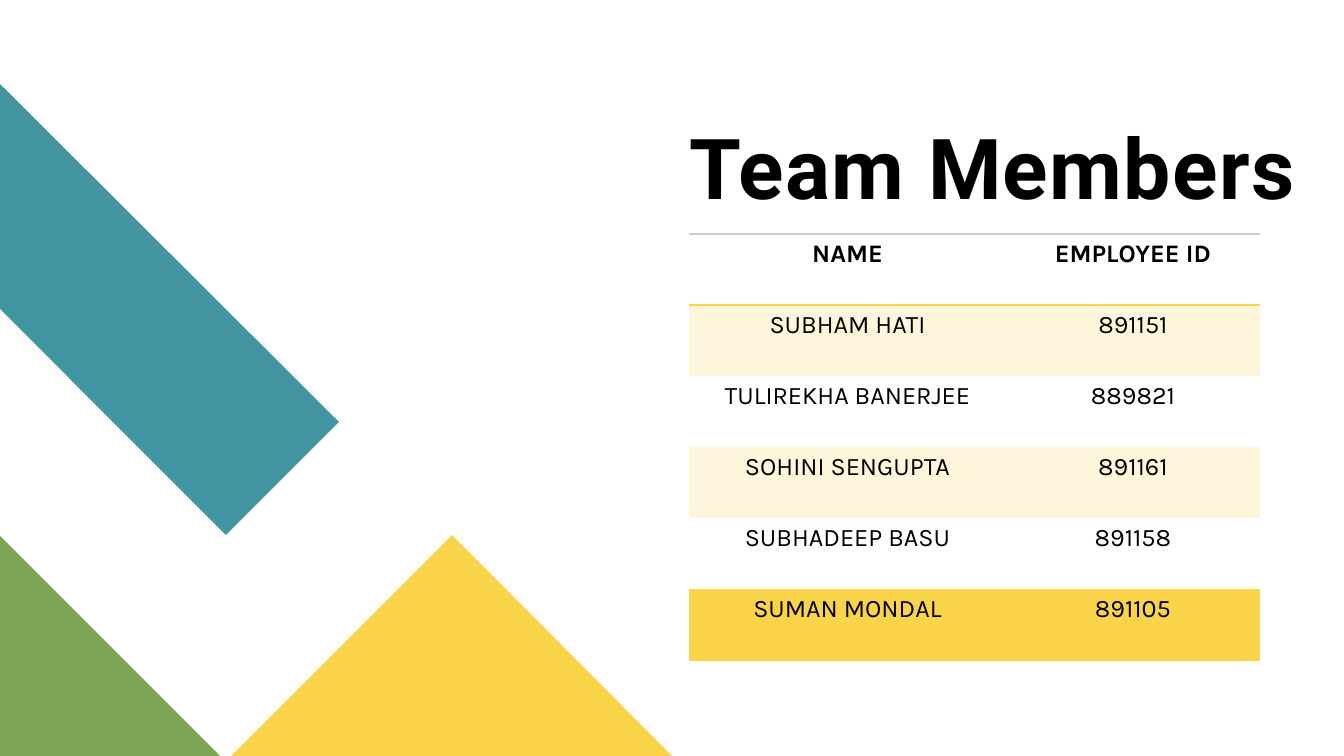
from dataclasses import dataclass

from lxml.etree import SubElement
from pptx import Presentation
from pptx.dml.color import RGBColor as RGB
from pptx.enum.text import MSO_ANCHOR as Anchor, MSO_AUTO_SIZE as AutoSize, PP_ALIGN as Align
from pptx.oxml.ns import qn
from pptx.util import Pt

EMU_PER_PX = 914400 / 100.8
NO_STYLE_NO_GRID = "{2D5ABB26-0587-4C30-8999-92F81FD0307C}"


@dataclass(frozen=True)
class Theme:
    teal: str = "4495A2"
    green: str = "7CA655"
    yellow: str = "F9D448"
    grey: str = "CCCCCC"
    text: str = "000000"
    title_font: str = "Roboto"
    body_font: str = "Karla"
    title_size: int = 60
    body_size: int = 18
    band_opacity: int = 20


THEME = Theme()

BANDS = [
    (THEME.teal, [(0, 84), (0, 309), (226, 535), (339, 422)]),
    (THEME.green, [(0, 536), (0, 756), (220, 756)]),
    (THEME.yellow, [(672, 756), (452, 535), (231, 756)]),
]

MEMBERS = [
    ("NAME", "EMPLOYEE ID"),
    ("SUBHAM HATI", "891151"),
    ("TULIREKHA BANERJEE", "889821"),
    ("SOHINI SENGUPTA", "891161"),
    ("SUBHADEEP BASU", "891158"),
    ("SUMAN MONDAL", "891105"),
]


def px(length):
    return round(length * EMU_PER_PX)


def write(frame, text, *, font, size, bold=False, align=Align.LEFT, line_spacing=1.0, tracking=0):
    """Fill a text frame with one formatted run; tracking is in points."""
    paragraph = frame.paragraphs[0]
    paragraph.alignment = align
    paragraph.line_spacing = line_spacing
    run = paragraph.add_run()
    run.text = text
    run.font.name = font
    run.font.size = Pt(size)
    run.font.bold = bold
    run.font.color.rgb = RGB.from_string(THEME.text)
    if tracking:
        run.font._element.set("spc", str(tracking * 100))


def add_band(slide, color, corners):
    builder = slide.shapes.build_freeform(*corners[0], scale=EMU_PER_PX)
    builder.add_line_segments(corners[1:], close=True)
    band = builder.convert_to_shape()
    band.shadow.inherit = False
    band.fill.solid()
    band.fill.fore_color.rgb = RGB.from_string(color)
    band.line.fill.background()


def add_title(slide, text):
    title = slide.shapes.title
    title.left, title.top, title.width, title.height = map(px, (689, 51, 606, 167))
    frame = title.text_frame
    frame.margin_left = frame.margin_top = frame.margin_right = frame.margin_bottom = 0
    frame.vertical_anchor = Anchor.BOTTOM
    frame.word_wrap = True
    frame.auto_size = AutoSize.NONE
    write(frame, text, font=THEME.title_font, size=THEME.title_size, bold=True,
          line_spacing=0.9, tracking=1)


def tint(cell):
    """Give a cell the translucent yellow of the banded rows."""
    cell.fill.solid()
    cell.fill.fore_color.rgb = RGB.from_string(THEME.yellow)
    color = cell._tc.tcPr.find(".//" + qn("a:srgbClr"))
    SubElement(color, qn("a:alpha"), val=str(THEME.band_opacity * 1000))


def add_border(cell, side, color):
    """Draw a 1 pt line on side "T" or "B"; call it before the cell is filled."""
    line = SubElement(cell._tc.get_or_add_tcPr(), qn(f"a:ln{side}"), w=str(Pt(1)))
    SubElement(SubElement(line, qn("a:solidFill")), qn("a:srgbClr"), val=color)


def add_member_table(slide, members):
    row_height = 71
    column_widths = (317, 254)
    table = slide.shapes.add_table(
        len(members), len(column_widths), px(689), px(234),
        px(sum(column_widths)), px(row_height * len(members))).table
    table._tbl.tblPr.find(qn("a:tableStyleId")).text = NO_STYLE_NO_GRID
    for column, width in zip(table.columns, column_widths):
        column.width = px(width)
    last = len(members) - 1
    for r, member in enumerate(members):
        table.rows[r].height = px(row_height)
        for c, value in enumerate(member):
            cell = table.cell(r, c)
            if r == 0:
                add_border(cell, "T", THEME.grey)
            if r in (0, last):
                add_border(cell, "B", THEME.yellow)
            if r % 2:
                tint(cell)
            else:
                cell.fill.background()
            write(cell.text_frame, value, font=THEME.body_font, size=THEME.body_size,
                  bold=r == 0, align=Align.CENTER)


def main():
    deck = Presentation()
    deck.slide_width, deck.slide_height = px(1344), px(756)
    slide = deck.slides.add_slide(deck.slide_layouts[0])
    subtitle = slide.placeholders[1].element
    subtitle.getparent().remove(subtitle)
    for color, corners in BANDS:
        add_band(slide, color, corners)
    add_title(slide, "Team Members")
    add_member_table(slide, MEMBERS)
    deck.save("out.pptx")


if __name__ == "__main__":
    main()
